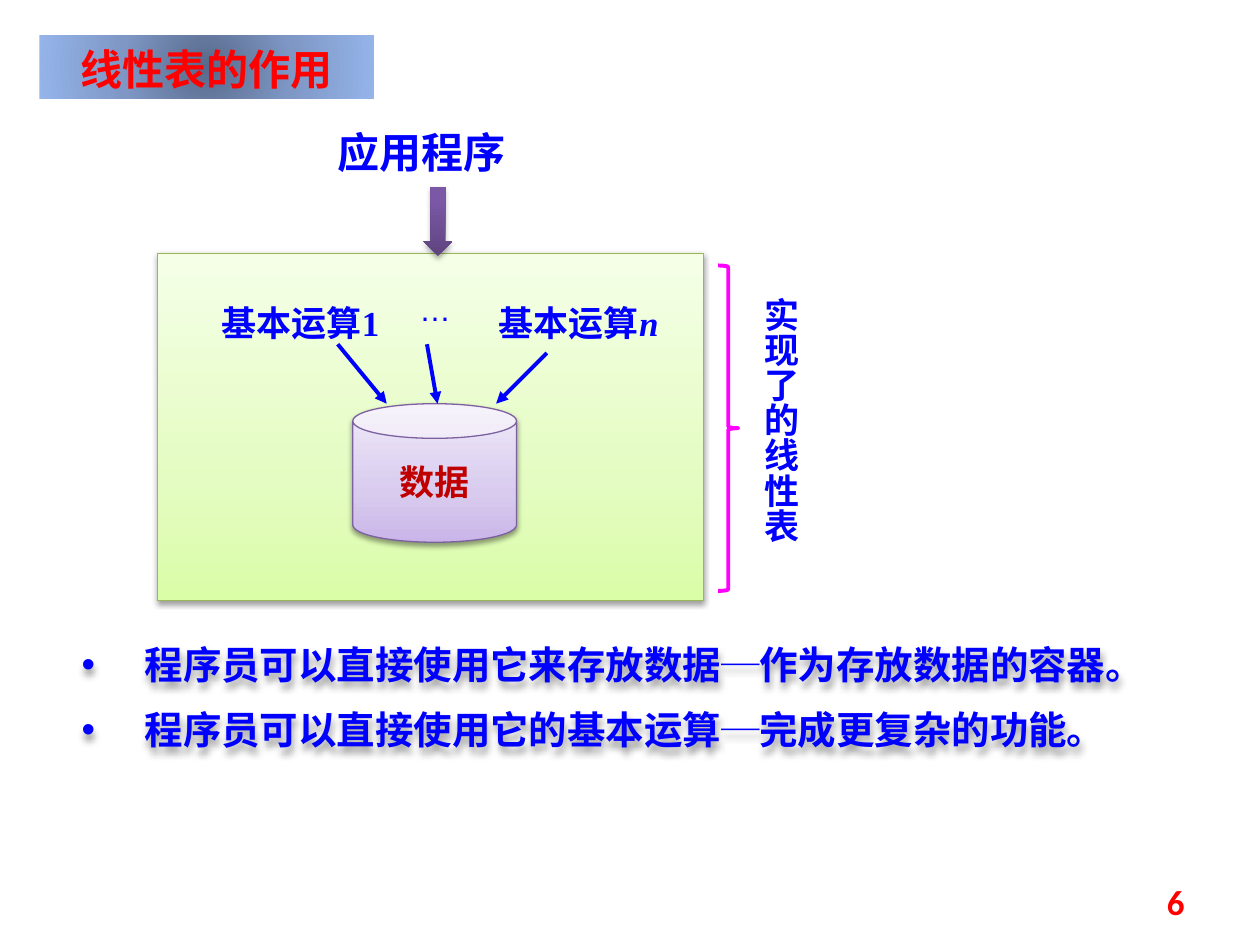
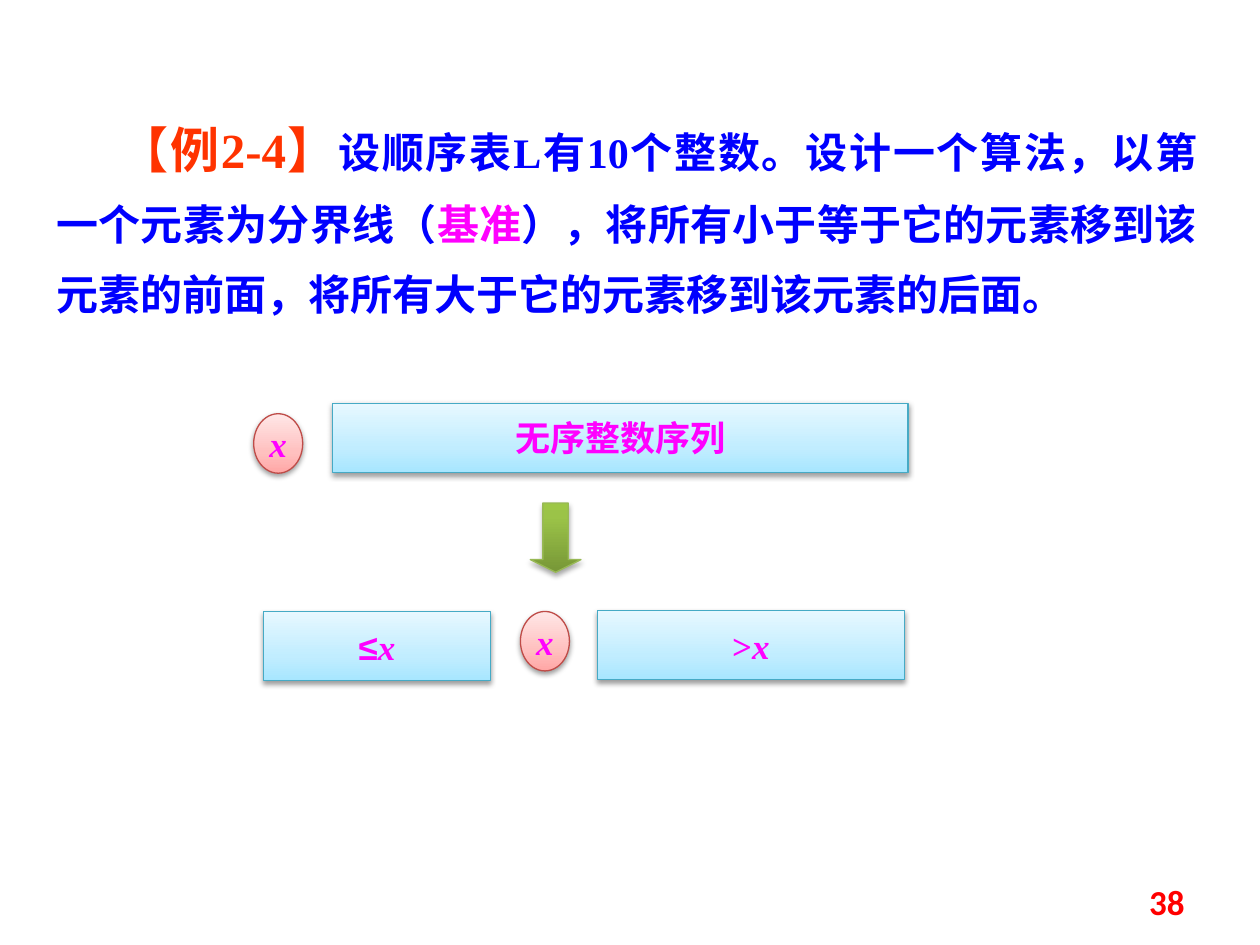
from lxml import etree
from pptx import Presentation
from pptx.dml.color import RGBColor
from pptx.enum.shapes import MSO_CONNECTOR, MSO_SHAPE
from pptx.enum.text import MSO_ANCHOR, MSO_AUTO_SIZE, PP_ALIGN
from pptx.oxml.ns import qn
from pptx.util import Pt

RECT, CAN, OVAL = MSO_SHAPE.RECTANGLE, MSO_SHAPE.CAN, MSO_SHAPE.OVAL
DOWN_ARROW, BRACE = MSO_SHAPE.DOWN_ARROW, MSO_SHAPE.RIGHT_BRACE
STRAIGHT = MSO_CONNECTOR.STRAIGHT
TOP, MIDDLE = MSO_ANCHOR.TOP, MSO_ANCHOR.MIDDLE
LEFT, CENTER, RIGHT, JUSTIFY = (PP_ALIGN.LEFT, PP_ALIGN.CENTER, PP_ALIGN.RIGHT,
                                PP_ALIGN.JUSTIFY)
CJK, SERIF = "Noto Sans CJK SC", "Times New Roman"
BLUE, RED, MAGENTA, ORANGE = "0000FF", "FF0000", "FF00FF", "FF3300"

# Gradients run from bottom to top: (position, colour) stops, then line colour
GREEN = ([(0, "DAFDA7"), (35, "E4FCC2"), (100, "F5FFE7")], "98B955")
PURPLE = ([(0, "C9B5E8"), (35, "D8CBEE"), (100, "F0EAF9")], "7D60A0")
PINK = ([(0, "FFA6A5"), (35, "FFC0BF"), (100, "FFE7E7")], "BF4C48")
SKY = ([(0, "A7E6FF"), (35, "C1EDFF"), (100, "E7F8FF")], "46AAC5")
DARK_PURPLE = ([(0, "5F4480"), (80, "7B58A6"), (100, "7C57A8")], None)
DARK_GREEN = ([(0, "779737"), (80, "9BC348"), (100, "9DC746")], "98B955")
BANNER = [(0, "586A8B"), (50, "7E97C5"), (100, "95B4EA")]

# Text formats
LABEL = dict(size=20, name=SERIF, color=BLUE, bold=True)
HEADING = dict(LABEL, size=24)
TITLE = dict(size=24, name=CJK, color=RED, bold=True)
BULLET = dict(size=22, name=CJK, color=BLUE, bold=True)
SHAPE_TEXT = dict(LABEL, name=CJK, color=MAGENTA)
VARIABLE = dict(LABEL, color=MAGENTA, italic=True)
NUMBER = dict(size=20, name="Calibri", color=RED, bold=True)


def rgb(value):
    return RGBColor.from_string(value)


def sub(parent, tag, **attrs):
    el = etree.SubElement(parent, qn(tag))
    for key, value in attrs.items():
        el.set(key, str(value))
    return el


def place(sp, x, y, w, h):
    sp.left, sp.top, sp.width, sp.height = Pt(x), Pt(y), Pt(w), Pt(h)


def gradient(sp, stops, radial=False):
    sp.fill.gradient()
    grad = sp._element.spPr.find(qn("a:gradFill"))
    for child in list(grad):
        grad.remove(child)
    stop_list = sub(grad, "a:gsLst")
    for pos, color in stops:
        sub(sub(stop_list, "a:gs", pos=pos * 1000), "a:srgbClr", val=color)
    if radial:
        sub(sub(grad, "a:path", path="circle"), "a:fillToRect",
            l=50000, t=50000, r=50000, b=50000)
    else:
        sub(grad, "a:lin", ang=270 * 60000, scaled=0)


def shadow(sp, alpha=38, blur=3.1, dist=1.6):
    sp.shadow.inherit = False
    effects = sp._element.spPr.find(qn("a:effectLst"))
    outer = sub(effects, "a:outerShdw", blurRad=Pt(blur), dist=Pt(dist),
                dir=90 * 60000, rotWithShape=0)
    sub(sub(outer, "a:srgbClr", val="000000"), "a:alpha", val=alpha * 1000)


def add_run(p, text, fmt):
    r = p.add_run()
    r.text = text
    for key, value in fmt.items():
        if key == "color":
            r.font.color.rgb = rgb(value)
        else:
            setattr(r.font, key, Pt(value) if key == "size" else value)
    sub(r._r.get_or_add_rPr(), "a:ea", typeface=CJK)


def write(sp, paragraphs, align=LEFT, anchor=TOP, wrap=True, spacing=None,
          before=0, indent=None, bullet=None, inset=3.6):
    """Fill a shape with paragraphs, each a list of (text, format) runs."""
    tf = sp.text_frame
    frame = dict(word_wrap=wrap, vertical_anchor=anchor, margin_left=Pt(7.2),
                 margin_right=Pt(7.2), margin_top=Pt(inset),
                 margin_bottom=Pt(3.6), auto_size=MSO_AUTO_SIZE.NONE)
    for key, value in frame.items():
        setattr(tf, key, value)
    for i, runs in enumerate(paragraphs):
        p = tf.add_paragraph() if i else tf.paragraphs[0]
        p.alignment = align
        if spacing:
            p.line_spacing = Pt(spacing)
        if i and before:
            p.space_before = Pt(before)
        pPr = p._p.get_or_add_pPr()
        if indent:
            pPr.set("marL", str(Pt(max(-indent, 0))))
            pPr.set("indent", str(Pt(indent)))
        if bullet:
            sub(pPr, "a:buFont", typeface="Arial")
            sub(pPr, "a:buChar", char=bullet)
        for text, fmt in runs:
            add_run(p, text, fmt)


def add_text(s, box, paragraphs, **layout):
    sp = s.shapes.add_textbox(*map(Pt, box))
    write(sp, paragraphs, **layout)
    return sp


def add_block(s, kind, box, style, runs=None, adj=(), **shade):
    stops, line = style
    sp = s.shapes.add_shape(kind, *map(Pt, box))
    for i, value in enumerate(adj):
        sp.adjustments[i] = value
    gradient(sp, stops)
    if line:
        sp.line.color.rgb = rgb(line)
        sp.line.width = Pt(0.75)
    else:
        sp.line.fill.background()
    shadow(sp, **shade)
    if runs:
        write(sp, [runs], align=CENTER, anchor=MIDDLE, wrap=False)


def add_arrow(s, x1, y1, x2, y2):
    line = s.shapes.add_connector(STRAIGHT, Pt(x1), Pt(y1), Pt(x2), Pt(y2))
    line.line.color.rgb = rgb(BLUE)
    line.line.width = Pt(2.25)
    sub(line.line._get_or_add_ln(), "a:tailEnd", type="triangle")
    sub(line._element.spPr, "a:effectLst")


def page_number(s, number):
    add_text(s, (516, 500.5, 168, 28.8), [[(number, NUMBER)]],
             align=RIGHT, anchor=MIDDLE)


def title_banner(s, text, box):
    sp = s.shapes.title
    place(sp, *box)
    gradient(sp, BANNER, radial=True)
    write(sp, [[(text, TITLE)]], align=CENTER, spacing=30)


def program_diagram(s, x, y):
    panel = y + 77
    data_top = panel + 86

    # Panel and data store
    add_block(s, RECT, (x, panel, 312, 198.5), GREEN)
    add_block(s, CAN, (x + 111.6, data_top, 93.6, 79.2), PURPLE,
              [("数据", dict(SHAPE_TEXT, color="C00000"))], adj=(0.25,))

    # Operations
    operations = [(29.5, [("基本运算1", LABEL)]),
                  (188, [("基本运算", LABEL), ("n", dict(LABEL, italic=True))])]
    for dx, runs in operations:
        add_text(s, (x + dx, panel + 23.3, 108, 31), [runs], spacing=25)
    add_text(s, (x + 142.6, panel + 17.5, 39.6, 28.8),
             [[("…", dict(size=18, name="Arial", color=BLUE))]])
    for x1, dy, x2 in [(103, 52, 131), (222.5, 57, 193.5), (154, 52, 160)]:
        add_arrow(s, x + x1, panel + dy, x + x2, data_top)

    # Application program
    add_text(s, (x + 96, y, 140.4, 36), [[("应用程序", HEADING)]], spacing=30)
    add_block(s, DOWN_ARROW, (x + 152, y + 39, 16.6, 39.6), DARK_PURPLE,
              alpha=35, dist=1.8)

    # Brace and vertical caption
    brace = s.shapes.add_shape(BRACE, Pt(x + 320.4), Pt(panel + 7),
                               Pt(11.5), Pt(186))
    brace.fill.background()
    brace.line.color.rgb = rgb(MAGENTA)
    brace.line.width = Pt(2.25)
    brace.shadow.inherit = False
    caption = add_text(s, (x + 332.6, panel + 18.5, 38.9, 168.5),
                       [[("实现了的线性表", dict(LABEL, name=CJK))]], align=CENTER)
    caption.text_frame._txBody.bodyPr.set("vert", "eaVert")


def usage_bullets(s, box):
    texts = ["程序员可以直接使用它来存放数据─作为存放数据的容器。",
             "程序员可以直接使用它的基本运算─完成更复杂的功能。"]
    sp = add_text(s, box, [[(text, BULLET)] for text in texts], spacing=26.5,
                  before=11, indent=-36, bullet="•", inset=6)
    shadow(sp, blur=4, dist=3)


def example_text(s, box):
    mark = dict(size=28, name=CJK, color=ORANGE, bold=True)
    runs = [("【例", mark), ("2-4", dict(mark, name=SERIF)), ("】", mark),
            ("设顺序表L有10个整数。设计一个算法，以第一个元素为分界线（", HEADING),
            ("基准", dict(HEADING, color=MAGENTA)),
            ("），将所有小于等于它的元素移到该元素的前面，"
             "将所有大于它的元素移到该元素的后面。", HEADING)]
    add_text(s, box, [runs], align=JUSTIFY, spacing=40, indent=36, inset=13)


def partition_diagram(s, x, y):
    pivot = [("x", VARIABLE)]
    height = 39.6

    # Before partition
    add_block(s, OVAL, (x, y + 6, 28, 34), PINK, pivot)
    add_block(s, RECT, (x + 45, y, 329, height), SKY, [("无序整数序列", SHAPE_TEXT)])
    add_block(s, DOWN_ARROW, (x + 158, y + 57, 29, height), DARK_GREEN,
              adj=(0.5, 0.25), alpha=35, dist=1.8)

    # After partition
    row = y + 119
    add_block(s, RECT, (x + 5.5, row, 130, height), SKY,
              [("≤", dict(SHAPE_TEXT, name="Arial")), *pivot])
    add_block(s, OVAL, (x + 152.4, row, 28, 34), PINK, pivot)
    add_block(s, RECT, (x + 196.3, row - 0.5, 175.7, height), SKY,
              [(">", dict(SHAPE_TEXT, name=SERIF)), *pivot])


def main():
    prs = Presentation()
    prs.slide_width, prs.slide_height = Pt(720), Pt(540)
    title_only, blank = prs.slide_layouts[5], prs.slide_layouts[6]

    # Role of the linear list
    s = prs.slides.add_slide(title_only)
    title_banner(s, "线性表的作用", (22.5, 20, 191.5, 36.5))
    program_diagram(s, 90, 67.7)
    usage_bullets(s, (39.6, 360, 635.8, 74.2))
    page_number(s, "6")

    # Partition example
    s = prs.slides.add_slide(blank)
    example_text(s, (25.2, 49, 666, 136))
    partition_diagram(s, 145, 230.4)
    page_number(s, "38")

    prs.save("out.pptx")


if __name__ == "__main__":
    main()
